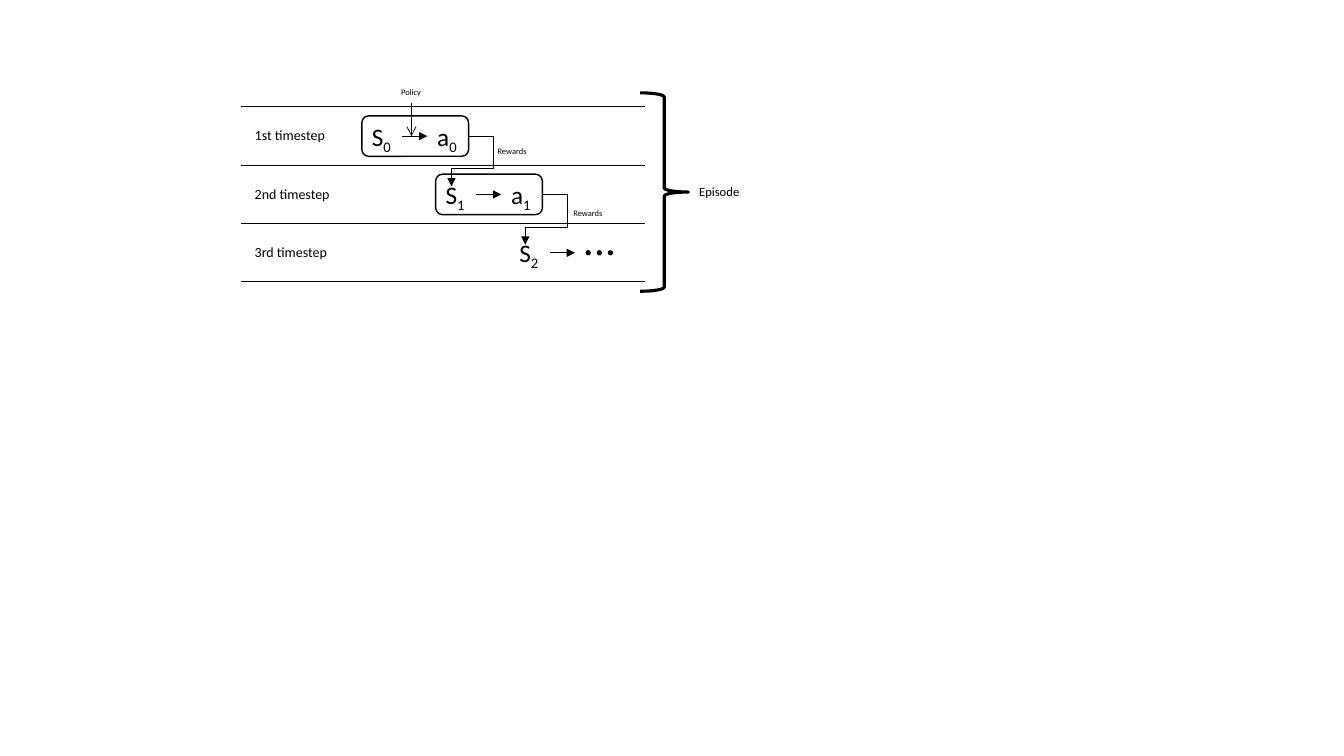
from lxml.etree import SubElement
from pptx import Presentation
from pptx.dml.color import RGBColor
from pptx.enum.shapes import MSO_CONNECTOR, MSO_SHAPE
from pptx.enum.text import MSO_ANCHOR, MSO_AUTO_SIZE
from pptx.oxml.ns import qn
from pptx.util import Cm, Pt

INK = "000000"
STEP_X, STEP_Y = 1.86, 1.47  # shift from one timestep to the next, cm
FIRST_MIDDLE = 3.43
STATE_LEFT, ACTION_LEFT = 9.12, 10.77
SYMBOL_SIZE = 1.02
PAIR_WIDTH = 2.69
DOT = 0.13


def color(hex_text):
    return RGBColor.from_string(hex_text)


def add_text(slide, text, left, top, width, height, size=10, font="Calibri", ink=INK, subscript=""):
    label = slide.shapes.add_textbox(Cm(left), Cm(top), Cm(width), Cm(height))
    frame = label.text_frame
    frame.word_wrap = False
    frame.auto_size = MSO_AUTO_SIZE.SHAPE_TO_FIT_TEXT
    frame.vertical_anchor = MSO_ANCHOR.TOP
    for part in filter(None, (text, subscript)):
        run = frame.paragraphs[0].add_run()
        run.text = part
        run.font.size = Pt(size)
        run.font.name = font
        run.font.color.rgb = color(ink)
    if subscript:
        run.font._element.set("baseline", "-25000")
    return label


def add_outline(slide, preset, left, top, width, height, weight):
    outline = slide.shapes.add_shape(preset, Cm(left), Cm(top), Cm(width), Cm(height))
    outline.shadow.inherit = False
    outline.fill.background()
    outline.line.color.rgb = color(INK)
    outline.line.width = Pt(weight)
    return outline


def add_dot(slide, left, middle):
    dot = slide.shapes.add_shape(MSO_SHAPE.OVAL, Cm(left), Cm(middle - DOT / 2), Cm(DOT), Cm(DOT))
    dot.shadow.inherit = False
    dot.fill.solid()
    dot.fill.fore_color.rgb = color(INK)
    dot.line.fill.background()


def add_line(slide, start, end, head=None, kind=MSO_CONNECTOR.STRAIGHT):
    line = slide.shapes.add_connector(kind, *(Cm(value) for value in (*start, *end)))
    line.line.color.rgb = color(INK)
    line.line.width = Pt(0.5)
    if head:
        SubElement(line.line._get_or_add_ln(), qn("a:tailEnd"), type=head)
    SubElement(line._element.spPr, qn("a:effectLst"))
    return line


def add_reward_arrow(slide, pair, step):
    """Lead from a state-action pair round to the state of the next timestep."""
    x, y = step * STEP_X, step * STEP_Y
    arrow = add_line(slide, (11.81 + x, FIRST_MIDDLE + y), (11.38 + x, 4.7 + y),
                     "triangle", MSO_CONNECTOR.ELBOW)
    arrow.begin_connect(pair, 3)
    geometry = arrow._element.spPr.find(qn("a:prstGeom"))
    geometry.set("prst", "bentConnector4")
    guides = geometry.find(qn("a:avLst"))
    for name, value in (("adj1", -146100), ("adj2", 64800)):
        SubElement(guides, qn("a:gd"), name=name, fmla=f"val {value}")


def add_timestep(slide, step, ordinal, label_width, has_action):
    x, middle = step * STEP_X, FIRST_MIDDLE + step * STEP_Y
    top = middle - SYMBOL_SIZE / 2
    add_text(slide, f"{ordinal} timestep", 6.17, middle - 0.36, label_width, 0.69)
    state = add_text(slide, "S", STATE_LEFT + x, top, SYMBOL_SIZE, SYMBOL_SIZE,
                     size=18, subscript=str(step))
    transition = add_line(slide, (10.13 + x, middle), (ACTION_LEFT + x, middle), "triangle")
    transition.begin_connect(state, 3)
    if has_action:
        action = add_text(slide, "a", ACTION_LEFT + x, top, 1.04, SYMBOL_SIZE,
                          size=18, subscript=str(step))
        transition.end_connect(action, 1)
        pair = add_outline(slide, MSO_SHAPE.ROUNDED_RECTANGLE, STATE_LEFT + x, top,
                           PAIR_WIDTH, SYMBOL_SIZE, 1)
        add_reward_arrow(slide, pair, step)
    else:
        for index in range(3):
            add_dot(slide, 14.76 + index * 0.28, middle)


def main():
    presentation = Presentation()
    presentation.slide_width, presentation.slide_height = Cm(33.87), Cm(19.05)
    slide = presentation.slides.add_slide(presentation.slide_layouts[6])

    for row in range(4):
        y = 2.69 + row * STEP_Y
        add_line(slide, (6.07, y), (16.26, y))

    timesteps = (("1st", 2.31, True), ("2nd", 2.44, True), ("3rd", 2.36, False))
    for step, timestep in enumerate(timesteps):
        add_timestep(slide, step, *timestep)

    for left, top in ((12.29, 3.56), (14.2, 5.11)):
        add_text(slide, "Rewards", left, top, 1.27, 0.51, size=6)

    policy = add_text(slide, "Policy", 9.86, 2.08, 1.02, 0.51, size=6)
    policy_arrow = add_line(slide, (10.37, 2.59), (10.37, FIRST_MIDDLE), "arrow")
    policy_arrow.begin_connect(policy, 2)

    add_outline(slide, MSO_SHAPE.RIGHT_BRACE, 16.13, 2.34, 1.22, 5, 2.25)
    add_text(slide, "Episode", 17.37, 4.52, 1.55, 0.64, size=9)
    presentation.save("out.pptx")


if __name__ == "__main__":
    main()
